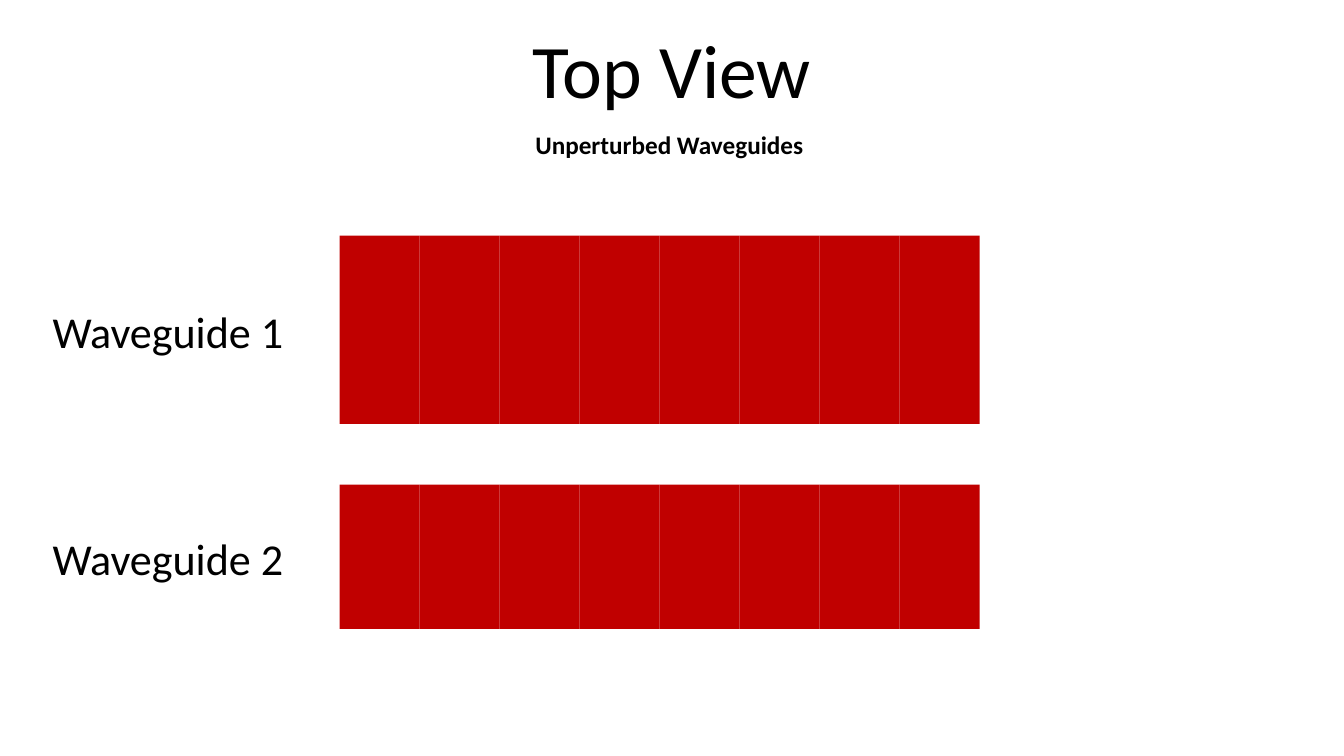
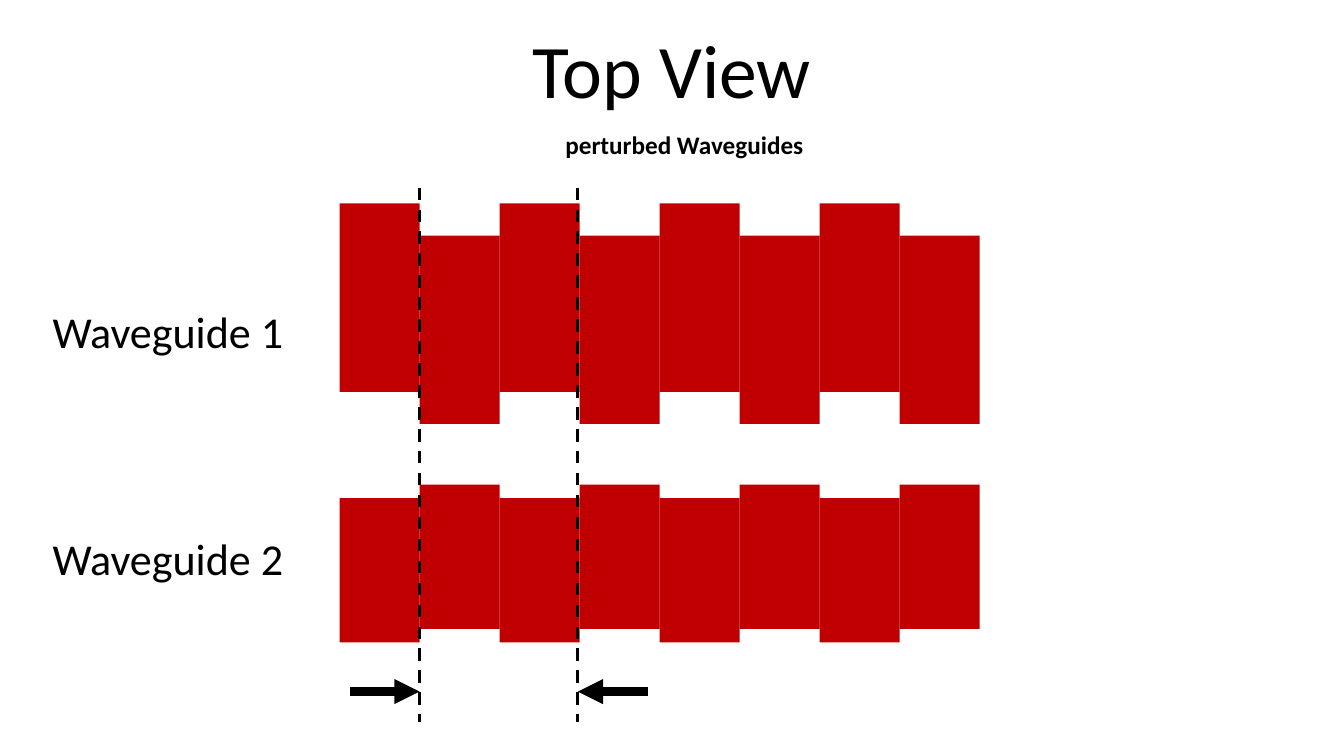
"""Draw top views of two waveguides, first unperturbed and then perturbed."""
from dataclasses import dataclass

from lxml import etree
from pptx import Presentation
from pptx.dml.color import RGBColor
from pptx.enum.dml import MSO_LINE
from pptx.enum.shapes import MSO_CONNECTOR, MSO_SHAPE
from pptx.enum.text import MSO_ANCHOR, PP_ALIGN
from pptx.oxml.ns import qn
from pptx.slide import Slide
from pptx.util import Pt

RECT = MSO_SHAPE.RECTANGLE
STRAIGHT = MSO_CONNECTOR.STRAIGHT
DASH = MSO_LINE.DASH
TOP, BOTTOM = MSO_ANCHOR.TOP, MSO_ANCHOR.BOTTOM
CENTER, RIGHT = PP_ALIGN.CENTER, PP_ALIGN.RIGHT

FONT = "Calibri"
COLORS = {"guide": "C00000", "ink": "000000"}
COUNT, LEFT, STEP = 8, 242.6, 57.15
MARKS = (299.7, 412.8)
ARROWS = ((249.8, MARKS[0]), (463, MARKS[1]))
ARROW_Y = 494


@dataclass(frozen=True)
class Style:
    size: float
    align: PP_ALIGN
    anchor: MSO_ANCHOR
    space: float = 1.0
    bold: bool = False


@dataclass(frozen=True)
class Guide:
    name: str
    label: float
    top: float
    height: float
    shift: float


@dataclass(frozen=True)
class View:
    note: str
    bent: bool


TITLE = Style(54, CENTER, BOTTOM, 0.9)
LABEL = Style(31.5, CENTER, BOTTOM, 0.7)
NOTE = Style(18, RIGHT, TOP, bold=True)

GUIDES = (
    Guide("Waveguide 1", 212.4, 168.3, 134.6, -23),
    Guide("Waveguide 2", 374.4, 346.2, 103, 9.6),
)
VIEWS = (View("Unperturbed Waveguides", False), View("perturbed Waveguides", True))


def color(name: str) -> RGBColor:
    """Look up a named colour."""
    return RGBColor.from_string(COLORS[name])


def write(slide: Slide, text: str, x: float, y: float, w: float, h: float, style: Style) -> None:
    """Add a text box in the given style."""
    frame = slide.shapes.add_textbox(Pt(x), Pt(y), Pt(w), Pt(h)).text_frame
    frame.word_wrap = True
    frame.vertical_anchor = style.anchor
    para = frame.paragraphs[0]
    para.text = text
    para.alignment = style.align
    para.line_spacing = style.space
    para.font.name = FONT
    para.font.size = Pt(style.size)
    para.font.bold = style.bold
    para.font.color.rgb = color("ink")


def draw_guide(slide: Slide, guide: Guide, bent: bool) -> None:
    """Draw a labelled row of blocks, with every other one shifted if bent."""
    for i in range(COUNT):
        top = guide.top + (guide.shift if bent and i % 2 == 0 else 0)
        block = slide.shapes.add_shape(
            RECT, Pt(LEFT + i * STEP), Pt(top), Pt(STEP), Pt(guide.height))
        block.shadow.inherit = False
        block.fill.solid()
        block.fill.fore_color.rgb = color("guide")
        block.line.fill.background()
    write(slide, guide.name, 27.4, guide.label, 185, 45.4, LABEL)


def draw_line(slide: Slide, x1: float, y1: float, x2: float, y2: float,
              width: float, arrow: bool) -> None:
    """Draw a solid arrow or a dashed line."""
    link = slide.shapes.add_connector(STRAIGHT, Pt(x1), Pt(y1), Pt(x2), Pt(y2))
    link.line.width = Pt(width)
    link.line.color.rgb = color("ink")
    if arrow:
        line = link.line._get_or_add_ln()
        etree.SubElement(line, qn("a:tailEnd"), type="triangle")
    else:
        link.line.dash_style = DASH
    etree.SubElement(link._element.spPr, qn("a:effectLst"))


def draw_period(slide: Slide) -> None:
    """Mark one period with dashed lines and a pair of arrows."""
    for x in MARKS:
        draw_line(slide, x, 134, x, 516, 2.25, False)
    for start, end in ARROWS:
        draw_line(slide, start, ARROW_Y, end, ARROW_Y, 6, True)


def main() -> None:
    """Build and save the slides."""
    deck = Presentation()
    deck.slide_width, deck.slide_height = Pt(960), Pt(540)
    for view in VIEWS:
        slide = deck.slides.add_slide(deck.slide_layouts[6])
        for guide in GUIDES:
            draw_guide(slide, guide, view.bent)
        write(slide, "Top View", 120, 18.7, 720, 67, TITLE)
        if view.bent:
            draw_period(slide)
        write(slide, view.note, 361, 88.6, 220, 29, NOTE)
    deck.save("out.pptx")


if __name__ == "__main__":
    main()
